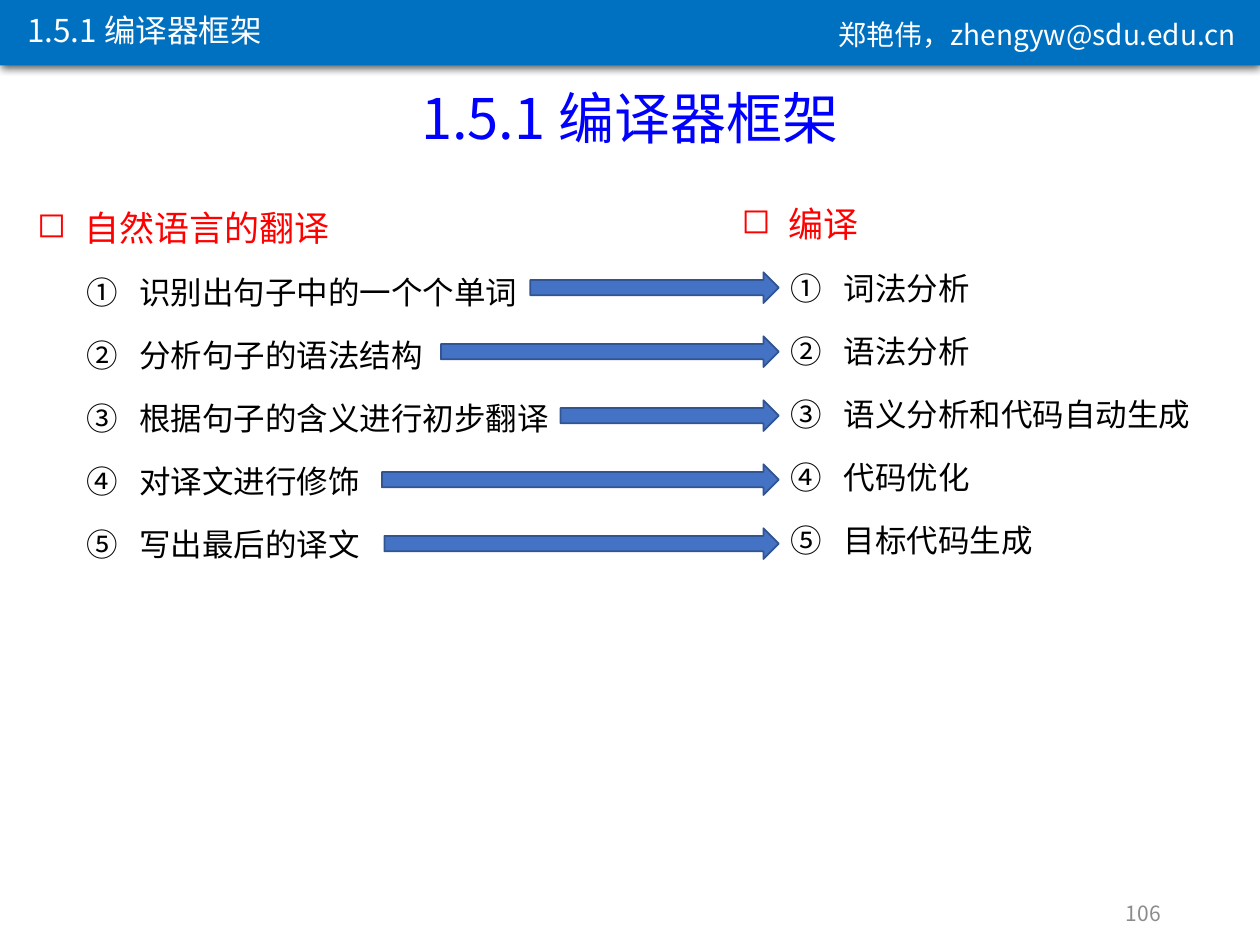
from lxml import etree
from pptx import Presentation
from pptx import util as u
from pptx.dml.color import RGBColor
from pptx.enum import shapes, text
from pptx.oxml import ns

SANS, SERIF = "Noto Sans CJK SC", "Times New Roman"
HEADING = "1.5.1 编译器框架"
CONTACT = "郑艳伟，zhengyw@sdu.edu.cn"
PAGE_NUMBER = "106"
TRANSLATION, COMPILING = "自然语言的翻译", "编译"
# translation step, matching compiler phase, left end of the arrow in cm
STEPS = [
    ("识别出句子中的一个个单词", "词法分析", 10.69),
    ("分析句子的语法结构", "语法分析", 8.89),
    ("根据句子的含义进行初步翻译", "语义分析和代码自动生成", 11.3),
    ("对译文进行修饰", "代码优化", 7.7),
    ("写出最后的译文", "目标代码生成", 7.75),
]
ARROW_TIP, ARROW_TOP, ARROW_PITCH, ARROW_HEIGHT = 15.7, 5.49, 1.29, 0.62


def colour(value):
    return RGBColor.from_string(value)


def add_child(parent, tag, **attributes):
    return etree.SubElement(parent, ns.qn(tag), attributes)


def add_shape(page, kind, place, fill, line=None):
    shape = page.shapes.add_shape(kind, *map(u.Cm, place))
    shape.shadow.inherit = False
    shape.fill.solid()
    shape.fill.fore_color.rgb = colour(fill)
    if line:
        shape.line.color.rgb = colour(line)
        shape.line.width = u.Pt(1)
    else:
        shape.line.fill.background()
    return shape


def add_header_bar(page):
    bar = add_shape(page, shapes.MSO_SHAPE.RECTANGLE, (0, -0.05, 25.4, 1.37), "0070C0")
    effects = bar.element.spPr.find(ns.qn("a:effectLst"))
    shadow = add_child(effects, "a:outerShdw", blurRad=str(u.Pt(4.5)),
                       dist=str(u.Pt(1.5)), dir="5400000", rotWithShape="0")
    black = add_child(shadow, "a:srgbClr", val="000000")
    add_child(black, "a:alpha", val="63000")


def add_box(page, place, wrap=True):
    box = page.shapes.add_textbox(*map(u.Cm, place))
    box.text_frame.word_wrap = wrap
    box.text_frame.auto_size = text.MSO_AUTO_SIZE.SHAPE_TO_FIT_TEXT
    return box.text_frame


def add_span(para, words, size, ink, font=SANS):
    span = para.add_run()
    span.text = words
    span.font.size = u.Pt(size)
    span.font.color.rgb = colour(ink)
    span.font.name = font
    add_child(span.font._element, "a:ea", typeface=SANS)


def add_label(page, place, words, size, ink, align=text.PP_ALIGN.LEFT, wrap=True):
    frame = add_box(page, place, wrap)
    para = frame.paragraphs[0]
    para.alignment = align
    add_span(para, words, size, ink)
    return frame


def set_bullet(para, margin, hang, tag, **attributes):
    props = para._p.get_or_add_pPr()
    props.set("marL", str(u.Cm(margin)))
    props.set("indent", str(-u.Cm(hang)))
    add_child(props, tag, **attributes)


def add_list(page, place, title, items):
    """Add a red square-bulleted title over circled, numbered items."""
    frame = add_box(page, place)
    para = frame.paragraphs[0]
    para.line_spacing = 1.5
    set_bullet(para, 0.95, 0.95, "a:buChar", char="◻")
    add_span(para, title, 20, "FF0000", SERIF)
    for item in items:
        para = frame.add_paragraph()
        para.level = 1
        para.line_spacing = 1.5
        para.space_before = u.Pt(3.6)
        set_bullet(para, 2.06, 1.07, "a:buAutoNum", type="circleNumDbPlain")
        add_span(para, item, 18, "000000", SERIF)


def main():
    deck = Presentation()
    deck.slide_width, deck.slide_height = u.Cm(25.4), u.Cm(19.05)
    page = deck.slides.add_slide(deck.slide_layouts[6])

    add_header_bar(page)
    add_label(page, (16.66, 0.23, 8.74, 0.94), CONTACT, 16, "FFFFFF", wrap=False)
    add_label(page, (0, 1.55, 25.4, 1.63), HEADING, 32, "0000FF", text.PP_ALIGN.CENTER)
    number = add_label(page, (17.93, 17.9, 5.72, 1.02), PAGE_NUMBER, 12, "8C8C8C",
                       text.PP_ALIGN.RIGHT)
    number.auto_size = text.MSO_AUTO_SIZE.NONE
    number.vertical_anchor = text.MSO_ANCHOR.MIDDLE
    add_label(page, (0.3, 0.1, 5.46, 1.02), HEADING, 18, "FFFFFF", wrap=False)

    steps, phases, arrow_lefts = zip(*STEPS)
    add_list(page, (0.5, 3.61, 24.61, 7.95), TRANSLATION, steps)
    add_list(page, (14.7, 3.53, 9.8, 7.95), COMPILING, phases)
    for row, left in enumerate(arrow_lefts):
        place = (left, ARROW_TOP + row * ARROW_PITCH, ARROW_TIP - left, ARROW_HEIGHT)
        add_shape(page, shapes.MSO_SHAPE.RIGHT_ARROW, place, "4472C4", "325491")

    deck.save("out.pptx")


if __name__ == "__main__":
    main()
